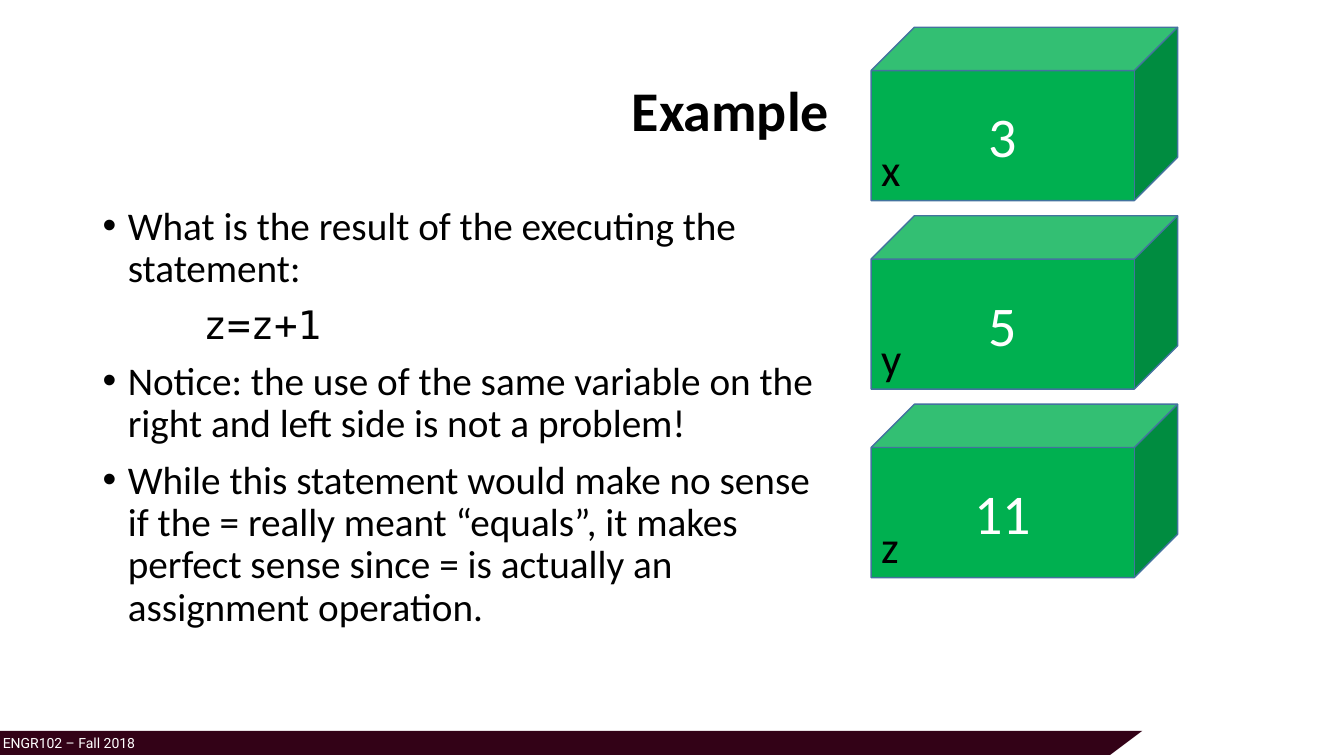
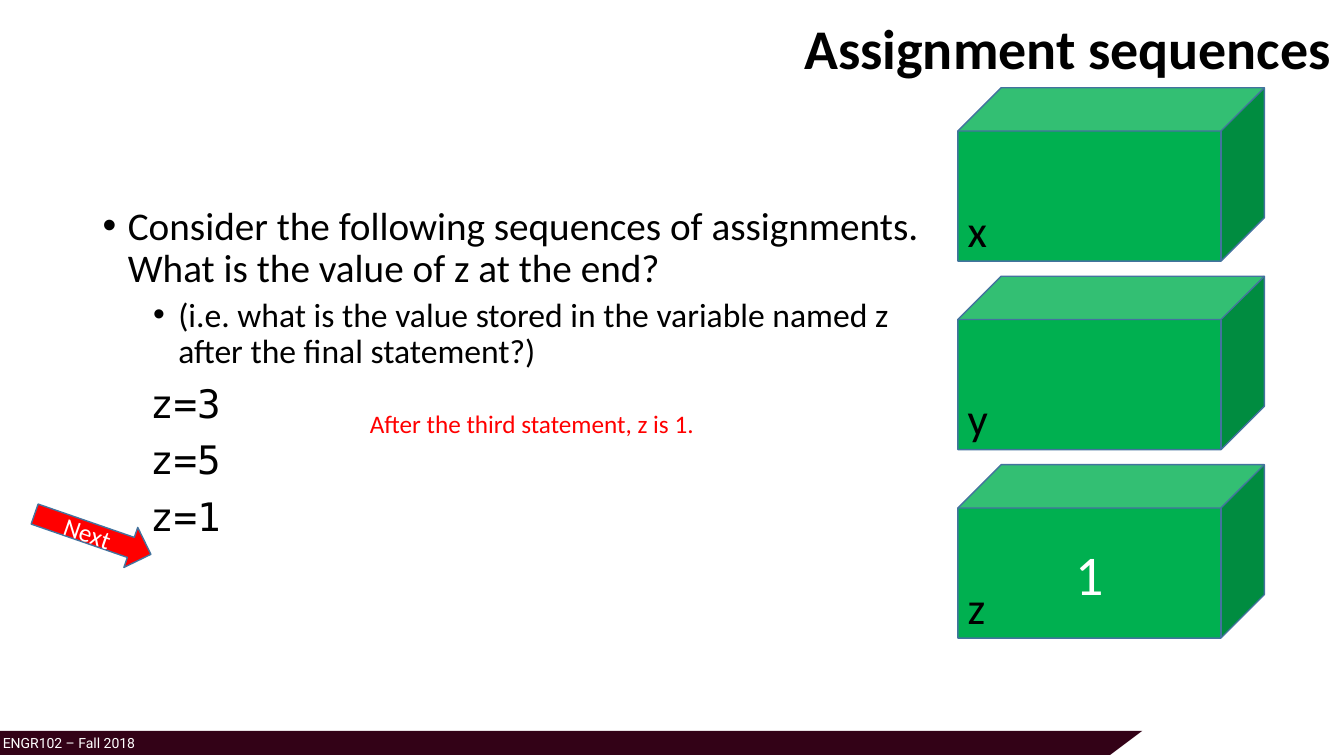
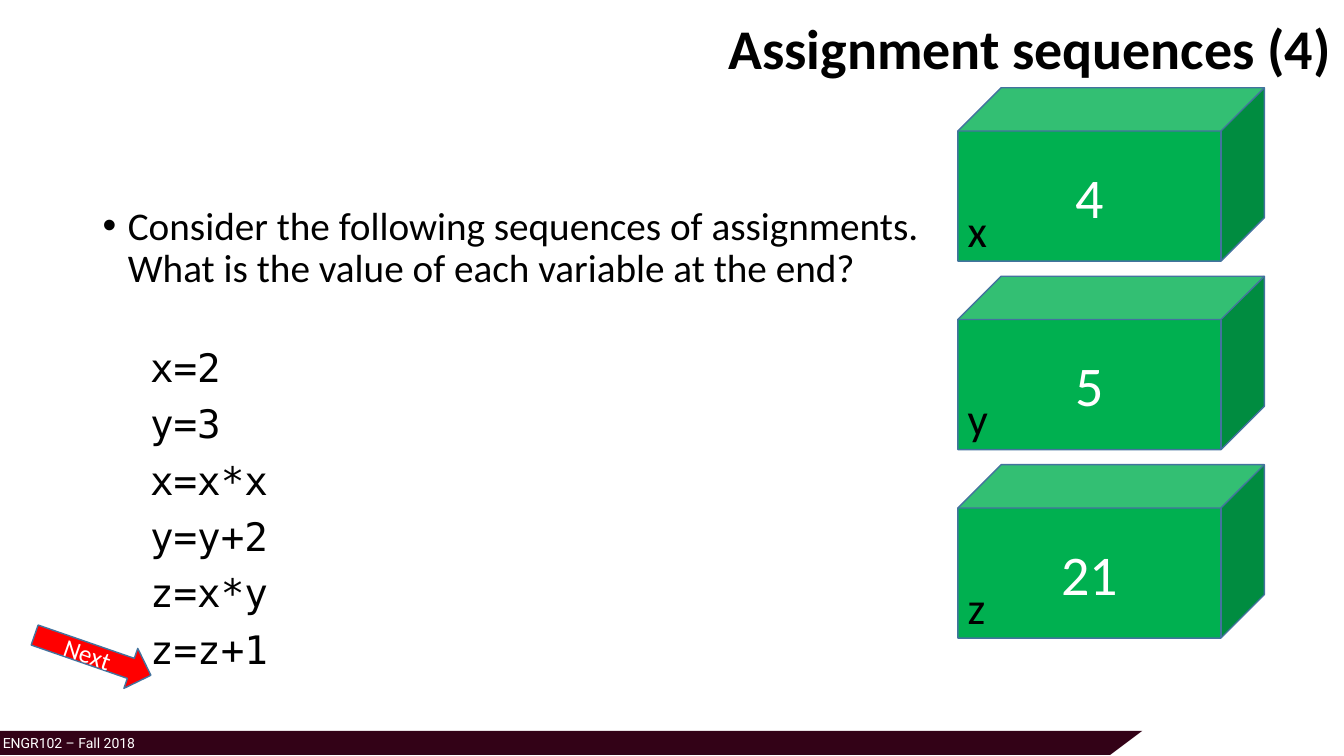
from dataclasses import dataclass

from pptx import Presentation
from pptx.dml.color import RGBColor
from pptx.enum.shapes import MSO_SHAPE
from pptx.enum.text import MSO_ANCHOR, MSO_AUTO_SIZE, PP_ALIGN
from pptx.oxml import parse_xml
from pptx.oxml.ns import nsdecls
from pptx.util import Pt

PX = 9144  # EMU per px, 100 px to the inch


@dataclass(frozen=True)
class Theme:
    # Colours
    band: str = "330217"
    box: str = "00B050"
    outline: str = "43739E"
    accent: str = "FF0000"
    dark: str = "000000"
    light: str = "FFFFFF"
    # Fonts
    sans: str = "Calibri"
    mono: str = "DejaVu Sans Mono"
    footer_font: str = "Roboto"
    # Type sizes
    title: int = 40
    value: int = 40
    label: int = 32
    body: int = 28
    sub: int = 24
    note: int = 18
    footer: int = 10


class Deck:
    BOX_W, BOX_H, BOX_STEP = 304, 172, 187
    LABEL_W, LABEL_H = 40, 64

    def __init__(self, theme):
        self.theme = theme
        self.prs = Presentation()
        self.prs.slide_width, self.prs.slide_height = 1333 * PX, 750 * PX
        self.s = None

    # Shared styling
    def style(self, p, size, color, font=None, bold=False):
        for r in p.runs:
            r.font.size = Pt(size)
            r.font.name = font or self.theme.sans
            r.font.bold = bold
            r.font.color.rgb = RGBColor.from_string(color)

    def paint(self, sp, fill, line=None):
        sp.shadow.inherit = False
        sp.fill.solid()
        sp.fill.fore_color.rgb = RGBColor.from_string(fill)
        if line:
            sp.line.color.rgb = RGBColor.from_string(line)
            sp.line.width = Pt(1)
        else:
            sp.line.fill.background()

    def text(self, x, y, w, h, text, size, color, font=None, bold=False, shapes=None):
        shapes = self.s.shapes if shapes is None else shapes
        sp = shapes.add_textbox(x * PX, y * PX, w * PX, h * PX)
        tf = sp.text_frame
        tf.word_wrap = True
        tf.text = text
        self.style(tf.paragraphs[0], size, color, font, bold)
        return tf

    def shape(self, kind, x, y, w, h, fill, text, size, shapes=None):
        shapes = self.s.shapes if shapes is None else shapes
        sp = shapes.add_shape(kind, x * PX, y * PX, w * PX, h * PX)
        self.paint(sp, fill, self.theme.outline)
        if text:
            tf = sp.text_frame
            tf.text = text
            tf.vertical_anchor = MSO_ANCHOR.MIDDLE
            p = tf.paragraphs[0]
            p.alignment = PP_ALIGN.CENTER
            self.style(p, size, self.theme.light)
        return sp

    # Slide frame: footer band and title
    def slide(self, title, x, y, w, h):
        t = self.theme
        self.s = self.prs.slides.add_slide(self.prs.slide_layouts[6])
        outline = self.s.shapes.build_freeform(-1, 725, scale=PX)
        outline.add_line_segments([(1133, 725), (1101, 749), (-2, 749)], close=True)
        self.paint(outline.convert_to_shape(), t.band)
        self.text(-7, 724, 750, 30, "ENGR102 – Fall 2018", t.footer, t.light, t.footer_font)
        tf = self.text(x, y, w, h, title, t.title, t.dark, bold=True)
        tf.vertical_anchor = MSO_ANCHOR.MIDDLE
        tf.paragraphs[0].alignment = PP_ALIGN.RIGHT
        tf.paragraphs[0].line_spacing = 0.9

    # Body text
    def body(self, w):
        sp = self.s.shapes.add_textbox(92 * PX, 200 * PX, w * PX, 476 * PX)
        sp.text_frame.word_wrap = True
        return sp.text_frame

    def para(self, tf, text, size, font, indent, before):
        first = tf.paragraphs[0]
        p = tf.add_paragraph() if first.runs else first
        p.text = text
        p.line_spacing = 0.9
        p.space_before = Pt(before)
        p._p.get_or_add_pPr().set("marL", str(indent * PX))
        self.style(p, size, self.theme.dark, font)
        return p

    def bullet(self, tf, text, level=0):
        size, before = ((self.theme.body, 10), (self.theme.sub, 5))[level]
        p = self.para(tf, text, size, self.theme.sans, 25 + 50 * level, before)
        p.level = level
        pPr = p._p.get_or_add_pPr()
        pPr.set("indent", str(-25 * PX))
        pPr.append(parse_xml(f'<a:buFont {nsdecls("a")} typeface="Arial"/>'))
        pPr.append(parse_xml(f'<a:buChar {nsdecls("a")} char="•"/>'))

    def code(self, tf, lines, indent=47, first_gap=10):
        for i, line in enumerate(lines):
            gap = 10 if i else first_gap
            self.para(tf, line, self.theme.body, self.theme.mono, indent, gap)

    # Column of variable boxes
    def variables(self, left, top, **values):
        t = self.theme
        for i, (name, value) in enumerate(values.items()):
            box_top = top + i * self.BOX_STEP
            shapes = self.s.shapes.add_group_shape().shapes
            self.shape(MSO_SHAPE.CUBE, left, box_top, self.BOX_W, self.BOX_H,
                       t.box, value, t.value, shapes)
            tf = self.text(left, box_top + self.BOX_H - self.LABEL_H + 1, self.LABEL_W,
                           self.LABEL_H, name, t.label, t.dark, shapes=shapes)
            tf.word_wrap = False
            tf.auto_size = MSO_AUTO_SIZE.SHAPE_TO_FIT_TEXT

    # Pointer to the next statement
    def next_arrow(self, y):
        t = self.theme
        sp = self.shape(MSO_SHAPE.RIGHT_ARROW, 31, y, 122, 42, t.accent, "Next", t.note)
        sp.rotation = 19.1

    def note(self, x, y, w, h, text):
        self.text(x, y, w, h, text, self.theme.note, self.theme.accent)


def main():
    deck = Deck(Theme())
    wide_title = (597, 0, 733, 101)

    # Example
    deck.slide("Example", 92, 40, 740, 145)
    tf = deck.body(740)
    deck.bullet(tf, "What is the result of the executing the statement:")
    deck.code(tf, ["z=z+1"], indent=100)
    deck.bullet(tf, "Notice: the use of the same variable on the right and left "
                    "side is not a problem!")
    deck.bullet(tf, "While this statement would make no sense if the = really meant "
                    "“equals”, it makes perfect sense since = is actually an "
                    "assignment operation.")
    deck.variables(864, 27, x="3", y="5", z="11")

    # Assignment sequences
    question = "Consider the following sequences of assignments.  What is the value of "
    deck.slide("Assignment sequences", *wide_title)
    tf = deck.body(838)
    deck.bullet(tf, question + "z at the end?")
    deck.bullet(tf, "(i.e. what is the value stored in the variable named z after "
                    "the final statement?)", level=1)
    deck.code(tf, ["z=3", "z=5", "z=1"])
    deck.variables(950, 87, x="", y="", z="1")
    deck.next_arrow(509)
    deck.note(357, 400, 350, 40, "After the third statement, z is 1.")

    # Assignment sequences (4)
    deck.slide("Assignment sequences (4)", *wide_title)
    tf = deck.body(838)
    deck.bullet(tf, question + "each variable at the end?")
    deck.code(tf, ["x=2", "y=3", "x=x*x", "y=y+2", "z=x*y", "z=z+1"], first_gap=41)
    deck.next_arrow(629)
    deck.variables(950, 87, x="4", y="5", z="21")

    deck.prs.save("out.pptx")


if __name__ == "__main__":
    main()
